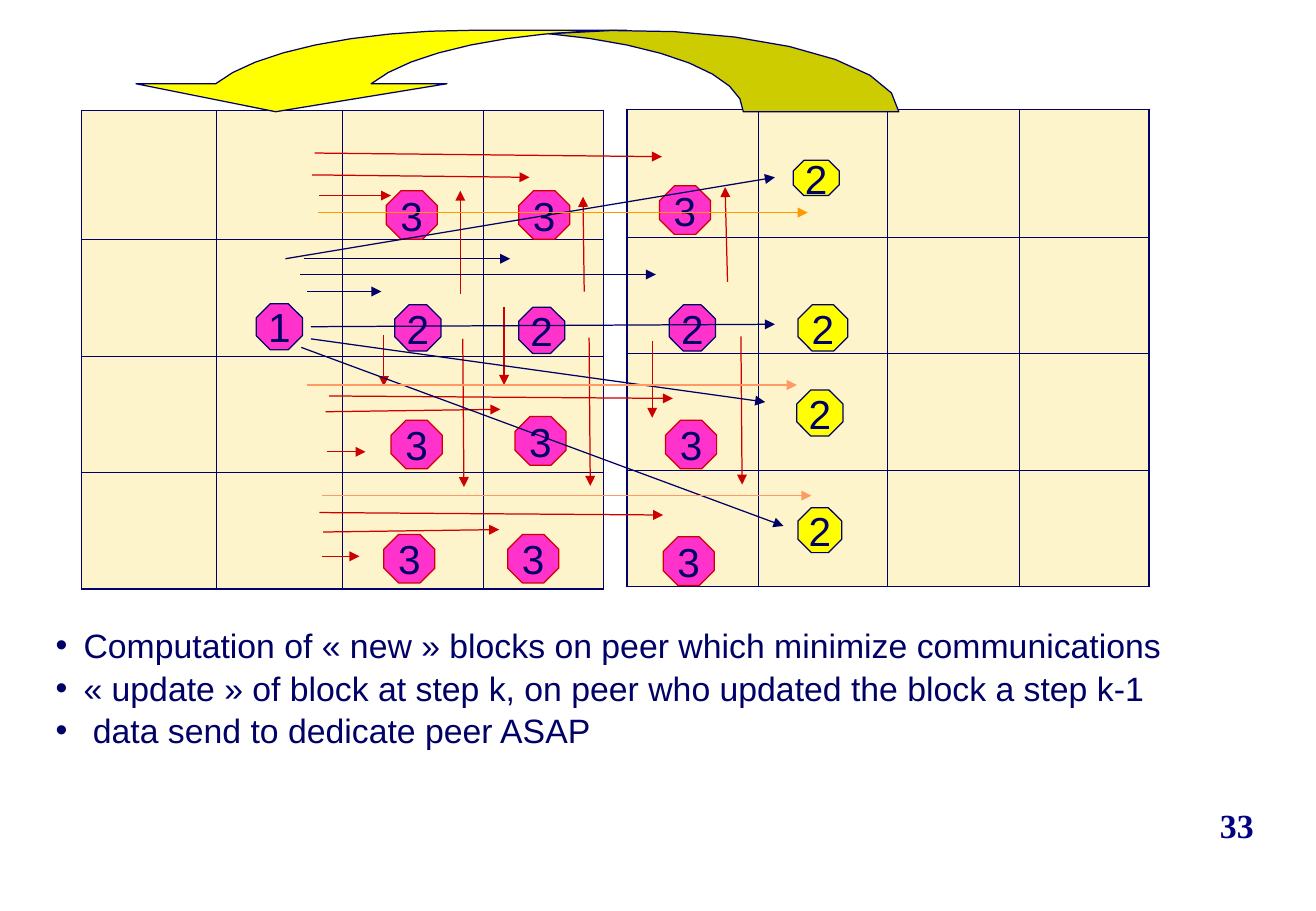
import math

import pptx
import pptx.dml.color
import pptx.enum.shapes
import pptx.enum.text
import pptx.oxml
import pptx.oxml.ns
import pptx.util
from pptx.util import Cm

theme = {
    "navy": "000066", "number": "000080", "red": "CC0000",
    "orange": "FF9900", "peach": "FF9966", "pink": "FF33CC",
    "yellow": "FFFF00", "olive": "CCCC00", "cream": "FEF4CB",
    "body_size": 20, "label_size": 24, "line_width": 0.75,
    "inner_border": 0.45, "outer_border": 1.08,
}


def inches(value):
    return Cm(value * 2.54)


def style(target, formats):
    """Apply format values; "color" and "fill" take theme names."""
    for name, value in formats.items():
        if name in ("color", "fill"):
            fill = target.fill
            fill.solid()
            fill.fore_color.rgb = pptx.dml.color.RGBColor.from_string(theme[value])
        else:
            setattr(target, name, value)


deck = pptx.Presentation()
deck.slide_width, deck.slide_height = Cm(27.52), Cm(19.05)
page = deck.slides.add_slide(deck.slide_layouts[6])
line_width = pptx.util.Pt(theme["line_width"])
navy_line = {"color": "navy", "width": line_width}
label_font = {"name": "Arial", "size": pptx.util.Pt(theme["label_size"]), "color": "navy"}
body_font = {"name": "Arial", "size": pptx.util.Pt(theme["body_size"]), "color": "navy"}
number_font = {"name": "Times New Roman", "size": pptx.util.Pt(theme["body_size"]),
               "bold": True, "color": "number"}

# Two block matrices, one per peer
matrices = [
    (0.67, 0.91, [1.11, 1.04, 1.16, 0.99], [1.06, 0.96, 0.96, 0.96]),
    (5.16, 0.90, [1.08, 1.07, 1.08, 1.07], [1.05, 0.96, 0.96, 0.96]),
]
for left, top, widths, heights in matrices:
    frame = page.shapes.add_table(4, 4, inches(left), inches(top),
                                  inches(sum(widths)), inches(sum(heights)))
    matrix = frame.table
    style(matrix, {"first_row": False, "horz_banding": False})
    for column, width in zip(matrix.columns, widths):
        column.width = inches(width)
    for row, height in zip(matrix.rows, heights):
        row.height = inches(height)
    for r in range(4):
        for c in range(4):
            cell = matrix.cell(r, c)
            outer_sides = {"L": c == 0, "R": c == 3, "T": r == 0, "B": r == 3}
            properties = cell._tc.get_or_add_tcPr()
            for side, is_outer in outer_sides.items():
                points = theme["outer_border" if is_outer else "inner_border"]
                properties.append(pptx.oxml.parse_xml(
                    f'<a:ln{side} {pptx.oxml.ns.nsdecls("a")} w="{pptx.util.Pt(points)}">'
                    f'<a:solidFill><a:srgbClr val="{theme["navy"]}"/></a:solidFill>'
                    f'</a:ln{side}>'))
            style(cell, {"fill": "cream"})

# Numbered blocks: label, fill, outline, width, height, top-left corners
blocks = [
    ("1", "pink", "navy", 0.38, 0.38, [(2.11, 2.5)]),
    ("2", "pink", "navy", 0.38, 0.38, [(3.25, 2.51), (4.27, 2.53), (5.51, 2.51)]),
    ("2", "yellow", "navy", 0.38, 0.29, [(6.53, 1.32)]),
    ("2", "yellow", "navy", 0.41, 0.38, [(6.57, 2.51)]),
    ("2", "yellow", "navy", 0.38, 0.38, [(6.56, 3.21)]),
    ("2", "yellow", "navy", 0.36, 0.37, [(6.57, 4.18)]),
    ("3", "pink", "red", 0.42, 0.4, [
        (3.18, 1.57), (4.27, 1.57), (5.43, 1.53),
        (3.22, 3.46), (4.24, 3.43), (5.48, 3.46),
        (3.16, 4.4), (4.18, 4.4), (5.46, 4.42)]),
]
for label, fill, outline, width, height, corners in blocks:
    for left, top in corners:
        block = page.shapes.add_shape(
            pptx.enum.shapes.MSO_SHAPE.OCTAGON,
            inches(left), inches(top), inches(width), inches(height))
        block.adjustments[0] = 0.306
        block.shadow.inherit = False
        style(block, {"fill": fill})
        style(block.line, {"color": outline, "width": line_width})
        style(block.text_frame, {
            "word_wrap": False,
            "vertical_anchor": pptx.enum.text.MSO_ANCHOR.MIDDLE})
        para = block.text_frame.paragraphs[0]
        para.alignment = pptx.enum.text.PP_ALIGN.CENTER
        span = para.add_run()
        span.text = label
        style(span.font, label_font)

# Communication arrows: start x, start y, end x, end y
arrows = {
    "red": [
        (2.63, 1.61, 3.22, 1.61), (2.59, 1.26, 5.45, 1.29), (2.57, 1.44, 4.36, 1.46),
        (2.65, 4.58, 2.96, 4.58), (2.69, 3.72, 3.01, 3.72), (2.66, 4.38, 4.11, 4.36),
        (2.68, 3.39, 4.12, 3.37), (2.71, 3.26, 5.54, 3.28), (2.63, 4.22, 5.46, 4.24),
        (3.79, 2.42, 3.79, 1.57), (4.81, 2.4, 4.8, 1.62), (5.99, 2.32, 5.97, 1.54),
        (3.16, 2.76, 3.16, 3.18), (4.15, 2.53, 4.15, 3.17), (5.37, 2.81, 5.37, 3.44),
        (3.81, 2.79, 3.82, 4.01), (4.85, 2.78, 4.86, 4), (6.1, 2.77, 6.11, 3.99)],
    "navy": [
        (2.47, 2.26, 5.4, 2.26), (2.5, 2.13, 4.2, 2.13), (2.53, 2.4, 3.14, 2.4),
        (2.56, 2.69, 6.38, 2.67), (2.56, 2.79, 6.3, 3.31), (2.48, 2.86, 6.45, 4.33),
        (2.35, 2.13, 6.38, 1.46)],
    "peach": [(2.65, 4.08, 6.68, 4.08), (2.53, 3.17, 6.56, 3.17)],
    "orange": [(2.62, 1.75, 6.65, 1.75)],
}
for color, routes in arrows.items():
    for route in routes:
        arrow = page.shapes.add_connector(
            pptx.enum.shapes.MSO_CONNECTOR.STRAIGHT, *[inches(v) for v in route])
        style(arrow.line, {"color": color, "width": line_width})
        arrow.line._get_or_add_ln().append(pptx.oxml.parse_xml(
            f'<a:tailEnd {pptx.oxml.ns.nsdecls("a")} type="triangle"/>'))
        arrow._element.spPr.append(pptx.oxml.parse_xml(
            f'<a:effectLst {pptx.oxml.ns.nsdecls("a")}/>'))

# Curved arrow between the matrices: arcs of two equal ellipses
base, rise, reach, steps = 0.92, 0.67, 2.24, 8
left_center, right_center = 3.88, 5.16
arcs = {}
for name, center, start, end in [
        ("head_outer", left_center, 90, 160), ("head_inner", right_center, 160, 90),
        ("tail_outer", right_center, 0, 106.6), ("tail_inner", left_center, 73.4, 0)]:
    angles = [math.radians(start + (end - start) * step / steps)
              for step in range(steps + 1)]
    arcs[name] = [(center + reach * math.cos(a), base - rise * math.sin(a)) for a in angles]
arrow_tip = [(1.12, 0.69), (2.27, base), (3.68, 0.69)]
ribbons = [
    ("yellow", arcs["head_outer"] + arrow_tip + arcs["head_inner"]),
    ("olive", arcs["tail_outer"] + arcs["tail_inner"]),
]
for fill, outline in ribbons:
    points = [(inches(x), inches(y)) for x, y in outline]
    builder = page.shapes.build_freeform(*points[0])
    builder.add_line_segments(points[1:], close=True)
    ribbon = builder.convert_to_shape()
    ribbon.shadow.inherit = False
    style(ribbon, {"fill": fill})
    style(ribbon.line, navy_line)

# Bulleted remarks
remarks = [
    "Computation of « new » blocks on peer which minimize communications",
    "« update » of block at step k, on peer who updated the block a step k-1",
    " data send to dedicate peer ASAP",
]
box = page.shapes.add_textbox(inches(0.36), inches(5.08), inches(10.2), inches(1.1))
box.text_frame.word_wrap = True
for index, remark in enumerate(remarks):
    para = box.text_frame.add_paragraph() if index else box.text_frame.paragraphs[0]
    para.line_spacing = 1.05
    properties = para._p.get_or_add_pPr()
    properties.set("marL", str(inches(0.23)))
    properties.set("indent", str(-inches(0.23)))
    properties.append(pptx.oxml.parse_xml(
        f'<a:buFont {pptx.oxml.ns.nsdecls("a")} typeface="Arial"/>'))
    properties.append(pptx.oxml.parse_xml(
        f'<a:buChar {pptx.oxml.ns.nsdecls("a")} char="•"/>'))
    span = para.add_run()
    span.text = remark
    style(span.font, body_font)

# Page number
box = page.shapes.add_textbox(inches(8.75), inches(6.58), inches(1.67), inches(0.42))
style(box.text_frame, {"word_wrap": True,
                       "vertical_anchor": pptx.enum.text.MSO_ANCHOR.MIDDLE})
para = box.text_frame.paragraphs[0]
para.alignment = pptx.enum.text.PP_ALIGN.RIGHT
span = para.add_run()
span.text = "33"
style(span.font, number_font)

deck.save("out.pptx")
